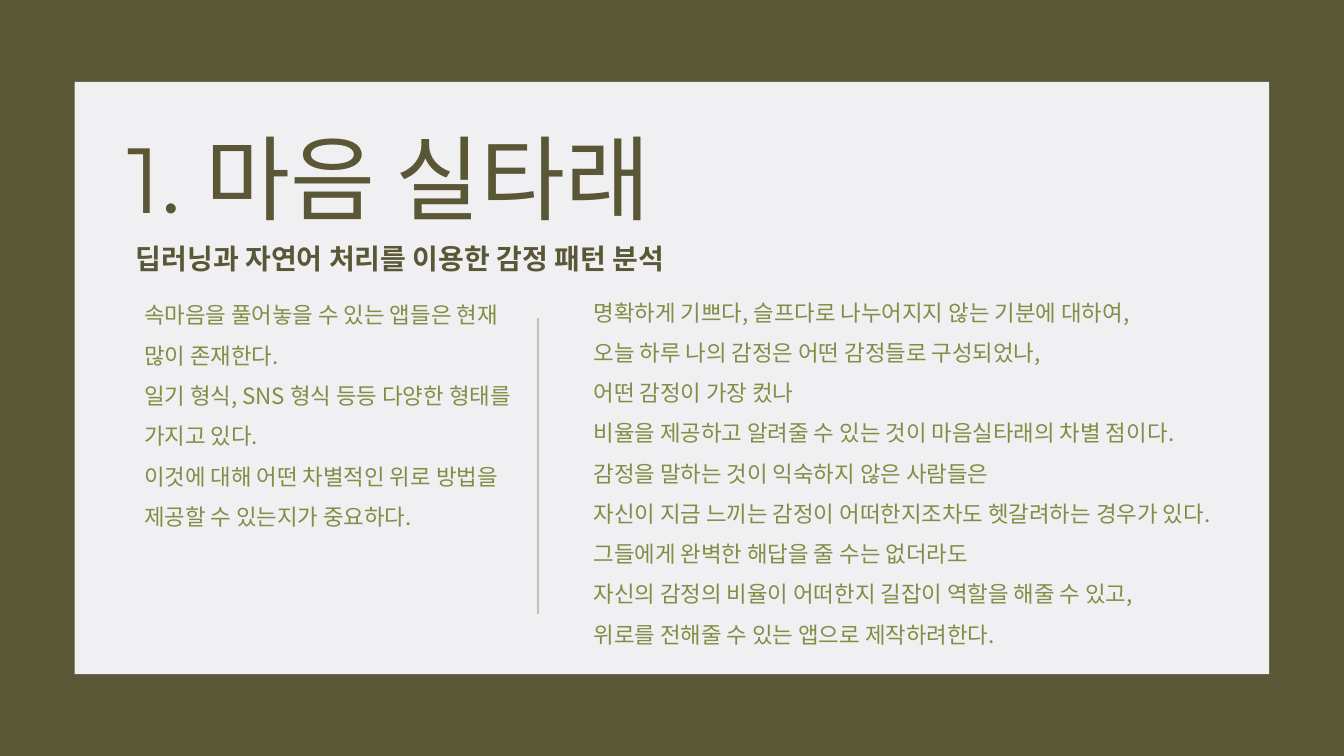
from pptx import Presentation
from pptx import util as u
from pptx.dml.color import RGBColor
from pptx.enum import shapes, text
from pptx.oxml.ns import qn
from lxml import etree

OLIVE = RGBColor(0x59, 0x57, 0x36)
MOSS = RGBColor(0x84, 0x8C, 0x45)
PALE = RGBColor(0xF0, 0xF0, 0xF2)
GREY = RGBColor(0xBF, 0xBF, 0xBF)
KOREAN = "Noto Sans CJK KR"
LATIN = "Montserrat"

TITLE = "1. 마음 실타래"
SUBTITLE = "딥러닝과 자연어 처리를 이용한 감정 패턴 분석"
BACKGROUND = [
    "속마음을 풀어놓을 수 있는 앱들은 현재 많이 존재한다.",
    "일기 형식, SNS 형식 등등 다양한 형태를 가지고 있다.",
    "이것에 대해 어떤 차별적인 위로 방법을 제공할 수 있는지가 중요하다.",
]
DIFFERENCE = [
    "명확하게 기쁘다, 슬프다로 나누어지지 않는 기분에 대하여,",
    "오늘 하루 나의 감정은 어떤 감정들로 구성되었나,",
    "어떤 감정이 가장 컸나",
    "비율을 제공하고 알려줄 수 있는 것이 마음실타래의 차별 점이다.",
    "감정을 말하는 것이 익숙하지 않은 사람들은",
    "자신이 지금 느끼는 감정이 어떠한지조차도 헷갈려하는 경우가 있다.",
    "그들에게 완벽한 해답을 줄 수는 없더라도",
    "자신의 감정의 비율이 어떠한지 길잡이 역할을 해줄 수 있고,",
    "위로를 전해줄 수 있는 앱으로 제작하려한다.",
]


def place(shape, left, top, width, height):
    """Set the position and size of a shape in points."""
    shape.left, shape.top = u.Pt(left), u.Pt(top)
    shape.width, shape.height = u.Pt(width), u.Pt(height)


def write(box, lines, size, color, spacing, font=KOREAN, bold=False):
    """Fill a box with one left-aligned paragraph per line."""
    frame = box.text_frame
    frame.word_wrap = True
    frame.auto_size = text.MSO_AUTO_SIZE.SHAPE_TO_FIT_TEXT
    frame.vertical_anchor = text.MSO_ANCHOR.TOP
    for index, line in enumerate(lines):
        para = frame.add_paragraph() if index else frame.paragraphs[0]
        para.alignment = text.PP_ALIGN.LEFT
        para.line_spacing = spacing
        para.space_before = u.Pt(0)
        span = para.add_run()
        span.text = line
        span.font.size = u.Pt(size)
        span.font.bold = bold
        span.font.color.rgb = color
        span.font.name = font
        latin = span.font._element.find(qn("a:latin"))
        east_asian = etree.Element(qn("a:ea"), typeface=KOREAN)
        latin.addnext(east_asian)


def add_text(page, area, lines, size, color, spacing, bold=False):
    """Add a text box with the given lines."""
    box = page.shapes.add_textbox(*map(u.Pt, area))
    write(box, lines, size, color, spacing, bold=bold)


def add_panel(page, area):
    """Add the pale panel behind the title."""
    panel = page.shapes.add_shape(shapes.MSO_SHAPE.RECTANGLE, *map(u.Pt, area))
    panel.shadow.inherit = False
    panel.fill.solid()
    panel.fill.fore_color.rgb = PALE
    panel.line.fill.background()
    page.shapes.title.element.addprevious(panel.element)


def add_divider(page, x, top, bottom):
    """Add the vertical line between the two columns."""
    divider = page.shapes.add_connector(
        shapes.MSO_CONNECTOR.STRAIGHT, u.Pt(x), u.Pt(top), u.Pt(x), u.Pt(bottom))
    divider.line.color.rgb = GREY
    divider.line.width = u.Pt(1.5)
    etree.SubElement(divider.element.spPr, qn("a:effectLst"))


def main():
    """Build the slide and save the deck."""
    deck = Presentation()
    deck.slide_width, deck.slide_height = u.Pt(960), u.Pt(540)
    page = deck.slides.add_slide(deck.slide_layouts.get_by_name("Title Only"))
    page.background.fill.solid()
    page.background.fill.fore_color.rgb = OLIVE

    add_panel(page, (53.3, 58.5, 853.2, 423))
    place(page.shapes.title, 84.2, 92.2, 786.2, 79.2)
    write(page.shapes.title, [TITLE], 66, OLIVE, 0.9, font=LATIN)
    add_text(page, (90, 164.2, 604.8, 36), [SUBTITLE], 20, OLIVE, 1.2, bold=True)
    add_text(page, (95.8, 202.3, 276.5, 181.4), BACKGROUND, 16, MOSS, 1.5)
    add_text(page, (416.9, 200.2, 465.8, 269.3), DIFFERENCE, 16, MOSS, 1.5)
    add_divider(page, 384.5, 226.8, 438.5)

    deck.save("out.pptx")


if __name__ == "__main__":
    main()
